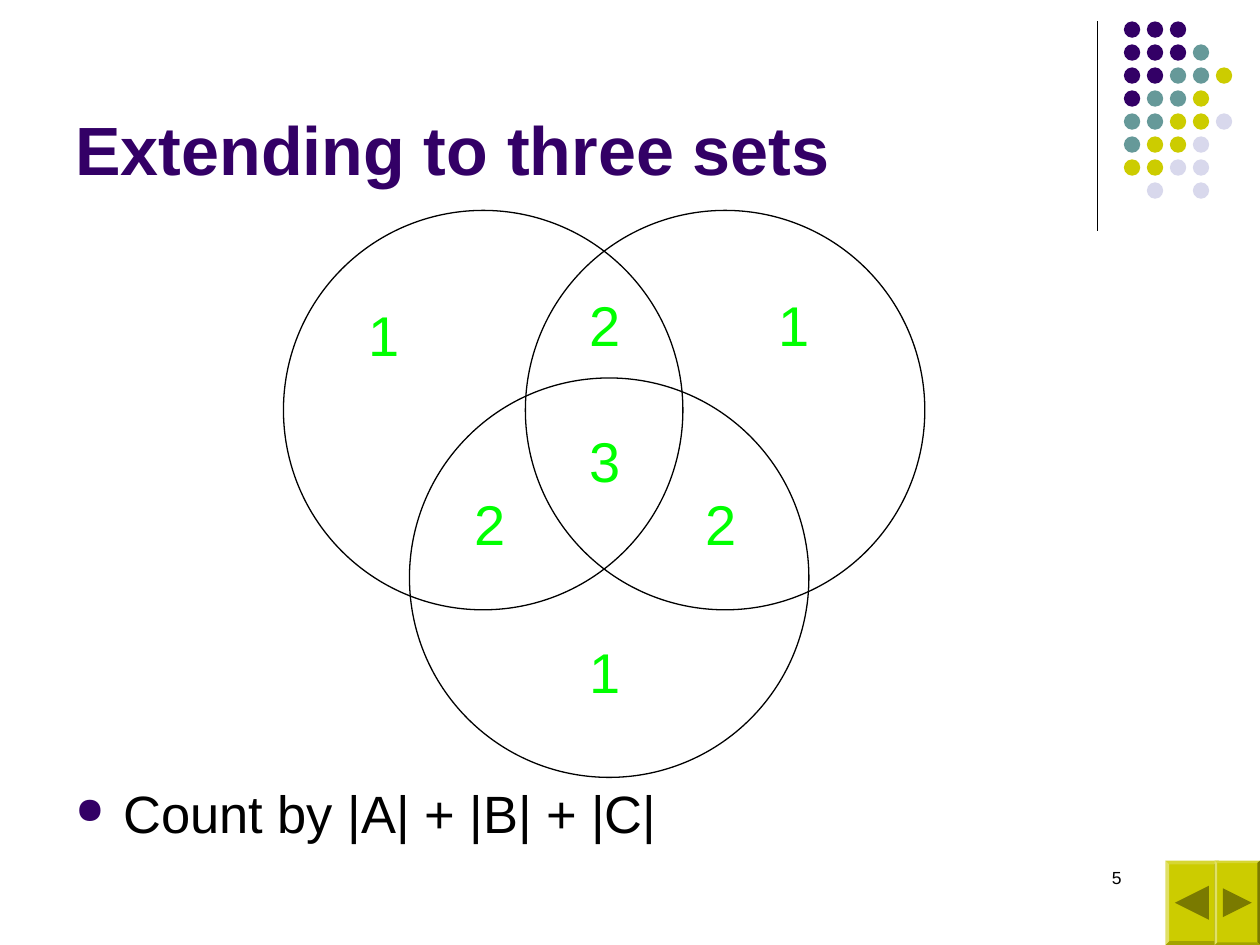
from lxml import etree
from pptx import Presentation
from pptx.dml.color import RGBColor
from pptx.enum.shapes import MSO_CONNECTOR, MSO_SHAPE
from pptx.enum.text import MSO_ANCHOR, PP_ALIGN
from pptx.oxml.ns import qn
from pptx.util import Inches, Pt

OVAL = MSO_SHAPE.OVAL
STRAIGHT = MSO_CONNECTOR.STRAIGHT
TOP, BOTTOM = MSO_ANCHOR.TOP, MSO_ANCHOR.BOTTOM
LEFT, RIGHT = PP_ALIGN.LEFT, PP_ALIGN.RIGHT

COLORS = {
    "ink": "000000",
    "purple": "330066",
    "teal": "669999",
    "olive": "CCCC00",
    "lilac": "D8D8EC",
    "green": "00FF00",
    "bevel_top": "D6D633",
    "bevel_right": "7A7A00",
    "bevel_bottom": "A3A300",
    "bevel_left": "E0E066",
    "arrow": "7A7A00",
}
DOT_COLORS = {"P": "purple", "T": "teal", "O": "olive", "L": "lilac"}
DOT_ROWS = ["PPP", "PPPT", "PPTTO", "PTTO", "TTOOL", "TOOL", "OOLL", " L L"]


def rgb(name):
    """Return the named colour."""
    return RGBColor.from_string(COLORS[name])


def add_text(slide, box, text, size, color="ink", bold=False, align=LEFT, anchor=TOP):
    """Add a one-paragraph text box and return its paragraph."""
    frame = slide.shapes.add_textbox(*map(Inches, box)).text_frame
    frame.word_wrap = True
    frame.vertical_anchor = anchor
    paragraph = frame.paragraphs[0]
    paragraph.text = text
    paragraph.alignment = align
    font = paragraph.font
    font.name, font.size, font.bold = "Arial", Pt(size), bold
    font.color.rgb = rgb(color)
    return paragraph


def add_circle(slide, left, top, size, fill=None):
    """Add a filled dot, or an outlined circle when no fill is given."""
    circle = slide.shapes.add_shape(OVAL, *map(Inches, (left, top, size, size)))
    circle.shadow.inherit = False
    if fill:
        circle.fill.solid()
        circle.fill.fore_color.rgb = rgb(fill)
        circle.line.fill.background()
    else:
        circle.fill.background()
        circle.line.color.rgb = rgb("ink")
        circle.line.width = Pt(0.75)


def add_polygon(slide, points, fill):
    """Add a filled polygon without an outline."""
    corners = [(Inches(x), Inches(y)) for x, y in points]
    builder = slide.shapes.build_freeform(*corners[0])
    builder.add_line_segments(corners[1:], close=True)
    polygon = builder.convert_to_shape()
    polygon.shadow.inherit = False
    polygon.fill.solid()
    polygon.fill.fore_color.rgb = rgb(fill)
    polygon.line.fill.background()


def corners_of(left, top, width, height, inset=0):
    """List a box's corners clockwise from the top left."""
    right, bottom = left + width - inset, top + height - inset
    left, top = left + inset, top + inset
    return [(left, top), (right, top), (right, bottom), (left, bottom)]


def add_dot_ornament(slide, box):
    """Draw the vertical rule and the grid of coloured dots."""
    left, top, width, height = box
    rule = slide.shapes.add_connector(
        STRAIGHT, *map(Inches, (left, top, left, top + height)))
    rule.line.color.rgb = rgb("ink")
    rule.line.width = Pt(0.75)
    etree.SubElement(rule.element.spPr, qn("a:effectLst"))
    dot, first = 0.13, left + 0.21
    pitch = (left + width - dot - first) / 4
    for row, letters in enumerate(DOT_ROWS):
        for column, letter in enumerate(letters):
            if letter in DOT_COLORS:
                add_circle(slide, first + column * pitch, top + row * pitch,
                           dot, DOT_COLORS[letter])


def add_nav_button(slide, box, bevel, arrow_size, direction):
    """Draw a bevelled button with an arrow pointing left (-1) or right (1)."""
    left, top, width, height = box
    outer, inner = corners_of(*box), corners_of(*box, inset=bevel)
    add_polygon(slide, outer, "olive")
    for side, edge in enumerate(("top", "right", "bottom", "left")):
        after = (side + 1) % 4
        add_polygon(slide, [outer[side], outer[after], inner[after], inner[side]],
                    f"bevel_{edge}")
    center_x, center_y = left + width / 2, top + height / 2
    half = arrow_size / 2
    tail = center_x - direction * half
    add_polygon(slide, [(center_x + direction * half, center_y),
                        (tail, center_y - half), (tail, center_y + half)], "arrow")


def add_venn(slide, box):
    """Draw three overlapping circles with a count in every region."""
    left, top = box[:2]
    diameter = 3.17
    for dx, dy in [(1.92, 0), (0, 0), (1, 1.33)]:
        add_circle(slide, left + dx, top + dy, diameter)
    counts = [("1", 2.33, 3.33), ("1", 0.58, 0.66), ("1", 3.83, 0.58),
              ("2", 1.42, 2.16), ("2", 2.33, 0.58), ("2", 3.25, 2.16),
              ("3", 2.33, 1.66)]
    for count, dx, dy in counts:
        add_text(slide, (left + dx, top + dy, 0.48, 0.64), count, 32, "green",
                 anchor=BOTTOM)


def add_bullet(slide, box, text):
    """Add a line of body text with a round purple bullet."""
    paragraph = add_text(slide, box, text, 30)
    properties = paragraph._p.get_or_add_pPr()
    properties.set("marL", str(Inches(0.38)))
    properties.set("indent", str(-Inches(0.38)))
    bullet_color = etree.SubElement(properties, qn("a:buClr"))
    etree.SubElement(bullet_color, qn("a:srgbClr"), val=COLORS["purple"])
    etree.SubElement(properties, qn("a:buSzPct"), val="70000")
    etree.SubElement(properties, qn("a:buChar"), char="●")
    properties.append(properties.find(qn("a:defRPr")))


def main():
    """Build and save the slide."""
    deck = Presentation()
    deck.slide_width, deck.slide_height = Inches(10), Inches(7.5)
    slide = deck.slides.add_slide(deck.slide_layouts[6])
    add_dot_ornament(slide, (8.71, 0.17, 1.07, 1.66))
    add_nav_button(slide, (9.25, 6.83, 0.42, 0.67), 0.03, 0.27, -1)
    add_nav_button(slide, (9.64, 6.83, 0.36, 0.67), 0.02, 0.23, 1)
    add_text(slide, (7.17, 6.83, 1.83, 0.5), "5", 10, align=RIGHT)
    add_bullet(slide, (0.5, 6.15, 9, 0.58), "Count by |A| + |B| + |C|")
    add_text(slide, (0.5, 0.13, 8.25, 1.42), "Extending to three sets", 39,
             "purple", bold=True, anchor=BOTTOM)
    add_venn(slide, (2.25, 1.67, 5.09, 4.5))
    deck.save("out.pptx")


if __name__ == "__main__":
    main()
